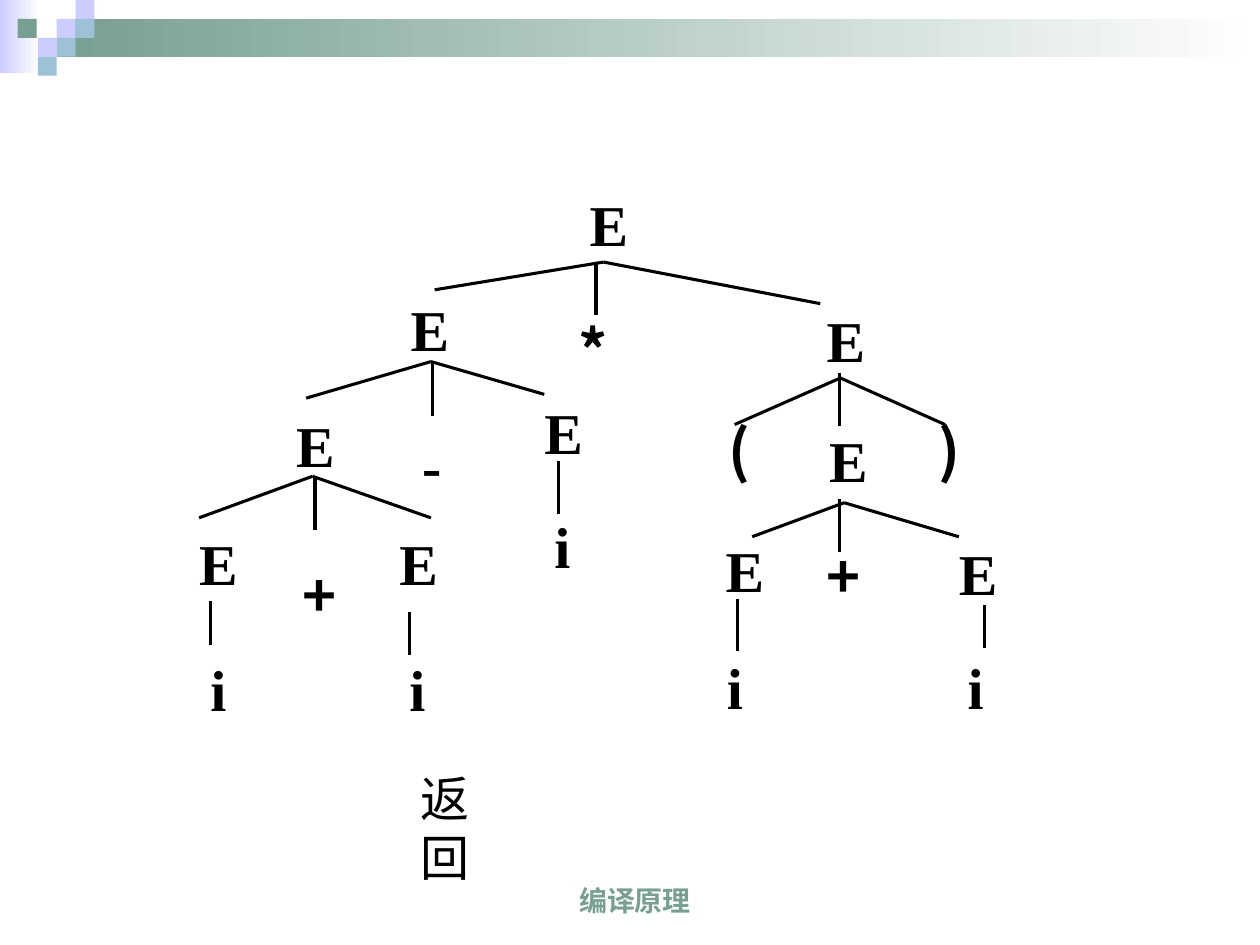
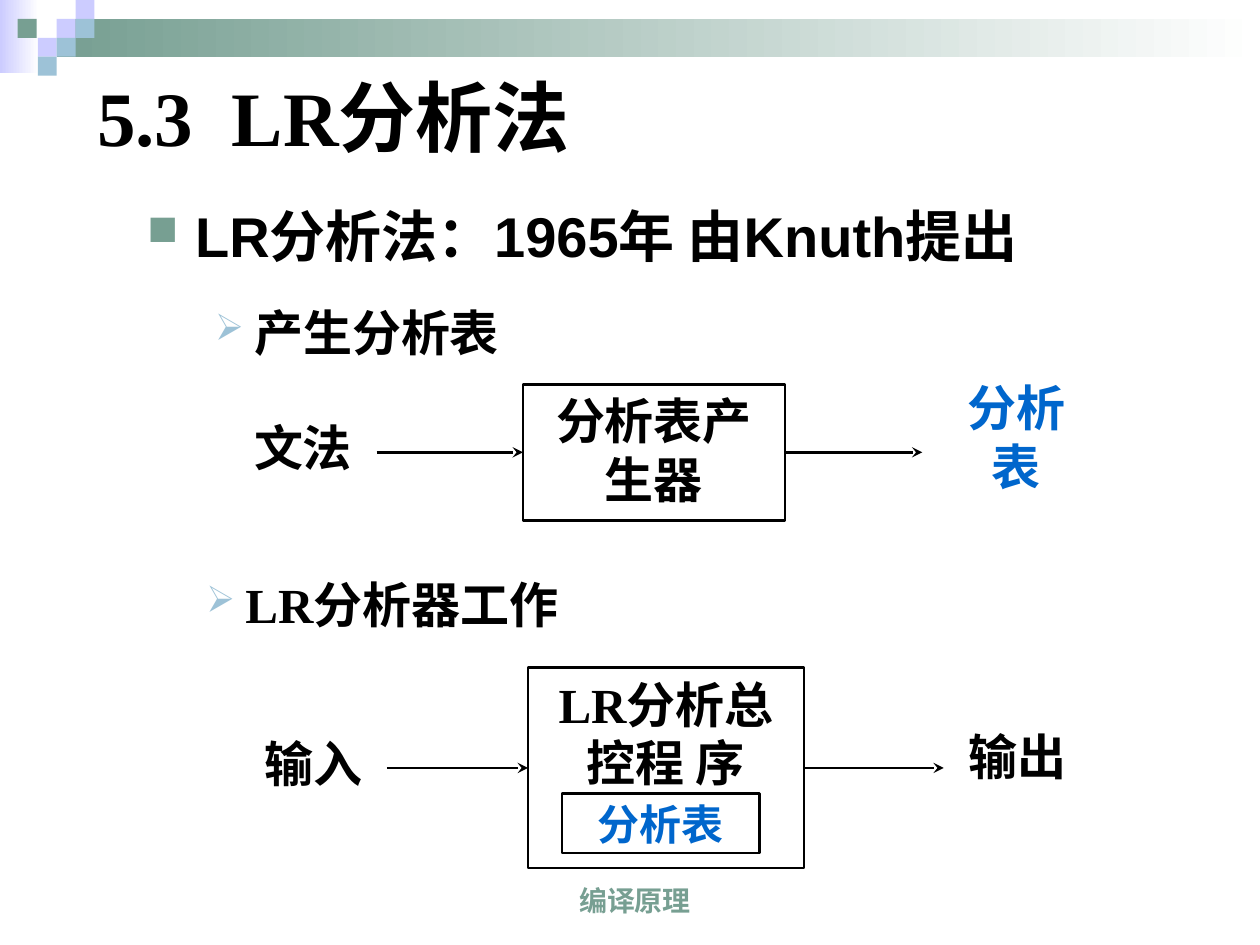
from typing import NamedTuple

from lxml.etree import SubElement as Sub
from pptx import Presentation
from pptx.dml.color import RGBColor as RGB
from pptx.enum.shapes import MSO_CONNECTOR as Conn, MSO_SHAPE as Kind
from pptx.enum.text import MSO_ANCHOR as Anchor, MSO_AUTO_SIZE as Fit, PP_ALIGN as Align
from pptx.oxml.ns import qn
from pptx.util import Inches, Pt

COLORS = {
    "ink": "000000",
    "green": "779F92",
    "lilac": "CCCCFF",
    "sky": "9DC2D7",
    "blue": "0066CC",
    "white": "FFFFFF",
}
SERIF, SANS, CJK = "Times New Roman", "Arial", "Noto Sans CJK SC"


class Rect(NamedTuple):
    left: float
    top: float
    width: float
    height: float

    def place(self) -> list:
        return [Inches(side) for side in self]


class Look(NamedTuple):
    size: float = 28
    font: str = SERIF
    color: str = "ink"
    bold: bool = True


class Tile(NamedTuple):
    left: float
    top: float
    color: str


class Node(NamedTuple):
    text: str
    left: float
    top: float


class Fork(NamedTuple):
    apex: tuple
    ends: tuple


class Stem(NamedTuple):
    left: float
    top: float
    length: float = 0.42


class Bullet(NamedTuple):
    mark: str
    color: str
    indent: float


class Stage(NamedTuple):
    box: Rect
    text: str
    start: float
    stop: float
    source: tuple
    target: tuple


BANDS = [(Rect(0, 0, 0.31, 0.58), "lilac"), (Rect(0.45, 0.15, 9.55, 0.3), "green")]
TILES = [
    Tile(0.45, 0.15, "lilac"), Tile(0.6, 0, "lilac"), Tile(0.6, 0.15, "sky"),
    Tile(0.3, 0.3, "lilac"), Tile(0.14, 0.15, "green"), Tile(0.45, 0.3, "sky"),
    Tile(0.3, 0.45, "sky"),
]
WIDTHS = {"E": 0.31, "i": 0.13, "(": 0.16, ")": 0.16, "*": 0.25, "+": 0.26, "-": 0.15}
NODES = [
    Node("E", 4.68, 1.5),
    Node("E", 3.26, 2.33), Node("*", 4.59, 2.5), Node("E", 6.56, 2.42),
    Node("E", 2.35, 3.25), Node("-", 3.35, 3.41), Node("E", 4.32, 3.15),
    Node("(", 5.78, 3.29), Node("E", 6.58, 3.37), Node(")", 7.45, 3.29),
    Node("E", 1.58, 4.19), Node("+", 2.4, 4.44), Node("E", 3.17, 4.19),
    Node("i", 4.4, 4.05),
    Node("E", 5.76, 4.24), Node("+", 6.56, 4.29), Node("E", 7.61, 4.27),
    Node("i", 1.67, 5.19), Node("i", 3.25, 5.19),
    Node("i", 5.77, 5.17), Node("i", 7.68, 5.17),
]
FORKS = [
    Fork((4.79, 2.08), ((3.45, 2.3), (6.51, 2.41))),
    Fork((3.42, 2.87), ((2.43, 3.16), (4.32, 3.13))),
    Fork((2.48, 3.78), ((1.58, 4.11), (3.42, 4.11))),
    Fork((6.67, 3), ((5.83, 3.37), (7.5, 3.37))),
    Fork((6.7, 3.99), ((5.97, 4.26), (7.61, 4.26))),
]
STEMS = [
    Stem(4.73, 2.08), Stem(3.43, 2.88), Stem(2.5, 3.79), Stem(6.66, 2.96),
    Stem(6.66, 3.96), Stem(4.43, 3.66), Stem(5.85, 4.75),
    Stem(1.67, 4.77, 0.35), Stem(3.25, 4.86, 0.34), Stem(7.81, 4.8, 0.34),
]
STAGES = [
    Stage(Rect(4.15, 3.05, 2.08, 1.08), "分析表产生器", 2.99, 7.32,
          (Rect(1.74, 3.21, 1.33, 0.67), "文法", "ink"),
          (Rect(7.4, 3.13, 1.33, 0.67), "分析表", "blue")),
    Stage(Rect(4.19, 5.3, 2.19, 1.59), "LR分析总 控程 序", 3.07, 7.49,
          (Rect(1.82, 5.72, 1.33, 0.67), "输入", "ink"),
          (Rect(7.49, 5.71, 1.17, 0.58), "输出", "ink")),
]


def rgb(name: str) -> RGB:
    return RGB.from_string(COLORS[name])


def write(shape, text: str, look: Look, align=Align.LEFT, anchor=Anchor.TOP,
          wrap: bool = True, bullet: Bullet | None = None) -> None:
    frame = shape.text_frame
    frame.text = text
    frame.word_wrap = wrap
    frame.vertical_anchor = anchor
    para = frame.paragraphs[0]
    para.alignment = align
    if bullet:
        props = para._p.get_or_add_pPr()
        gap = Inches(bullet.indent)
        props.set("marL", str(gap))
        props.set("indent", str(-gap))
        tint = Sub(props, qn("a:buClr"))
        Sub(tint, qn("a:srgbClr"), val=COLORS[bullet.color])
        Sub(props, qn("a:buSzPct"), val="75000")
        Sub(props, qn("a:buChar"), char=bullet.mark)
    for run in para.runs:
        font = run.font
        font.size, font.name, font.bold = Pt(look.size), look.font, look.bold
        font.color.rgb = rgb(look.color)
        Sub(run._r.get_or_add_rPr(), qn("a:ea"), typeface=CJK)


def label(slide, rect: Rect, text: str, look: Look = Look(), **style):
    box = slide.shapes.add_textbox(*rect.place())
    write(box, text, look, **style)
    return box


def block(slide, rect: Rect):
    shape = slide.shapes.add_shape(Kind.RECTANGLE, *rect.place())
    shape.shadow.inherit = False
    shape.line.fill.background()
    return shape


def frame(slide, rect: Rect):
    shape = block(slide, rect)
    shape.fill.background()
    shape.line.color.rgb = rgb("ink")
    shape.line.width = Pt(1.5)
    return shape


def link(slide, start: tuple, end: tuple, width: float = 1.75, arrow: bool = False):
    line = slide.shapes.add_connector(Conn.STRAIGHT, *start, *end)
    line.line.color.rgb = rgb("ink")
    line.line.width = Pt(width)
    props = line.element.spPr
    if arrow:
        Sub(props.find(qn("a:ln")), qn("a:tailEnd"), type="stealth")
    Sub(props, qn("a:effectLst"))
    return line


def point(left: float, top: float) -> tuple:
    return Inches(left), Inches(top)


def dress(slide) -> None:
    for rect, color in BANDS:
        fill = block(slide, rect).fill
        fill.gradient()
        fill.gradient_angle = 0
        for stop, name, at in zip(fill.gradient_stops, (color, "white"), (0, 1)):
            stop.color.rgb = rgb(name)
            stop.position = at
    for tile in TILES:
        fill = block(slide, Rect(tile.left, tile.top, 0.15, 0.15)).fill
        fill.solid()
        fill.fore_color.rgb = rgb(tile.color)
    label(slide, Rect(3.27, 6.83, 3.54, 0.5), "编译原理", Look(16, SANS, "green"),
          align=Align.CENTER, anchor=Anchor.BOTTOM)


def draw_tree(slide) -> None:
    for fork in FORKS:
        for end in fork.ends:
            link(slide, point(*fork.apex), point(*end))
    for stem in STEMS:
        link(slide, point(stem.left, stem.top), point(stem.left, stem.top + stem.length))
    for node in NODES:
        font = SERIF if node.text in "Ei-" else CJK
        box = label(slide, Rect(node.left, node.top, WIDTHS[node.text], 0.55),
                    node.text, Look(33, font), wrap=False)
        text = box.text_frame
        text.margin_left = text.margin_right = text.margin_top = text.margin_bottom = 0
        text.auto_size = Fit.SHAPE_TO_FIT_TEXT
    label(slide, Rect(3.24, 6.05, 0.97, 0.57), "返回", Look(bold=False), wrap=False)


def draw_stage(slide, stage: Stage) -> None:
    box = frame(slide, stage.box)
    write(box, stage.text, Look(), align=Align.CENTER)
    mid = box.top + box.height // 2
    feed = link(slide, (Inches(stage.start), mid), (box.left, mid), 1.5, True)
    feed.end_connect(box, 1)
    exit_line = link(slide, (box.left + box.width, mid), (Inches(stage.stop), mid), 1.5, True)
    exit_line.begin_connect(box, 3)
    for rect, text, color in (stage.source, stage.target):
        label(slide, rect, text, Look(color=color), align=Align.CENTER,
              anchor=Anchor.MIDDLE, wrap=False)


def draw_method(slide) -> None:
    title = slide.shapes.title
    title.left, title.top, title.width, title.height = Rect(0.67, 0.5, 9.17, 0.83).place()
    write(title, "5.3  LR分析法", Look(44), anchor=Anchor.MIDDLE)
    label(slide, Rect(1.07, 1.55, 8.42, 1), "LR分析法：1965年 由Knuth提出",
          Look(32, SANS), bullet=Bullet("■", "green", 0.38))
    steps = [(Rect(1.61, 2.3, 2.5, 0.67), "产生分析表"),
             (Rect(1.54, 4.46, 3.1, 0.67), "LR分析器工作")]
    for rect, text in steps:
        label(slide, rect, text, anchor=Anchor.MIDDLE, bullet=Bullet("➢", "sky", 0.31))
    for stage in STAGES:
        draw_stage(slide, stage)
    table = frame(slide, Rect(4.46, 6.3, 1.57, 0.47))
    write(table, "分析表", Look(24, color="blue"), align=Align.CENTER,
          anchor=Anchor.MIDDLE, wrap=False)


def main() -> None:
    deck = Presentation()
    deck.slide_width, deck.slide_height = point(10, 7.5)
    for layout, draw in ((6, draw_tree), (5, draw_method)):
        slide = deck.slides.add_slide(deck.slide_layouts[layout])
        dress(slide)
        draw(slide)
    deck.save("out.pptx")


if __name__ == "__main__":
    main()
